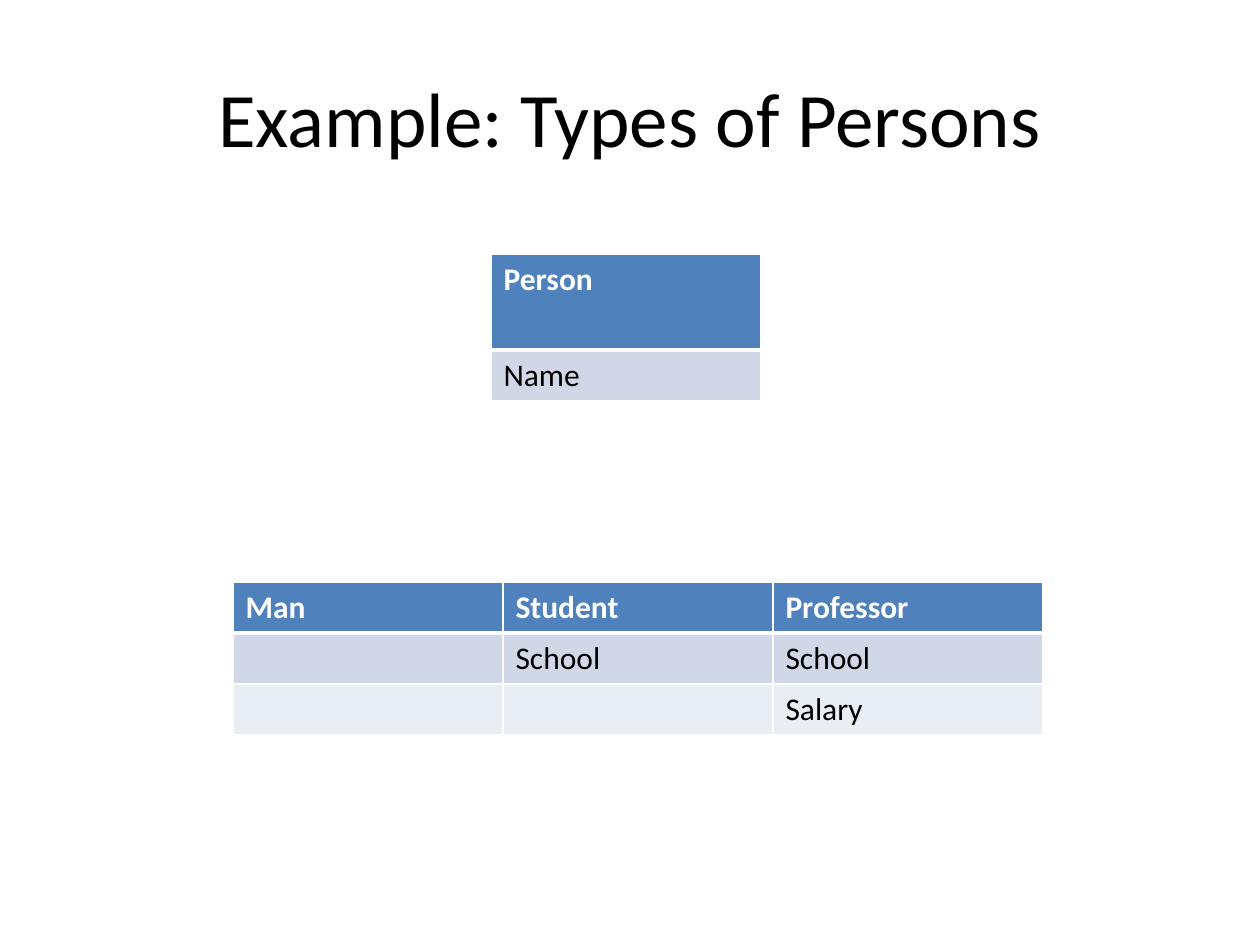
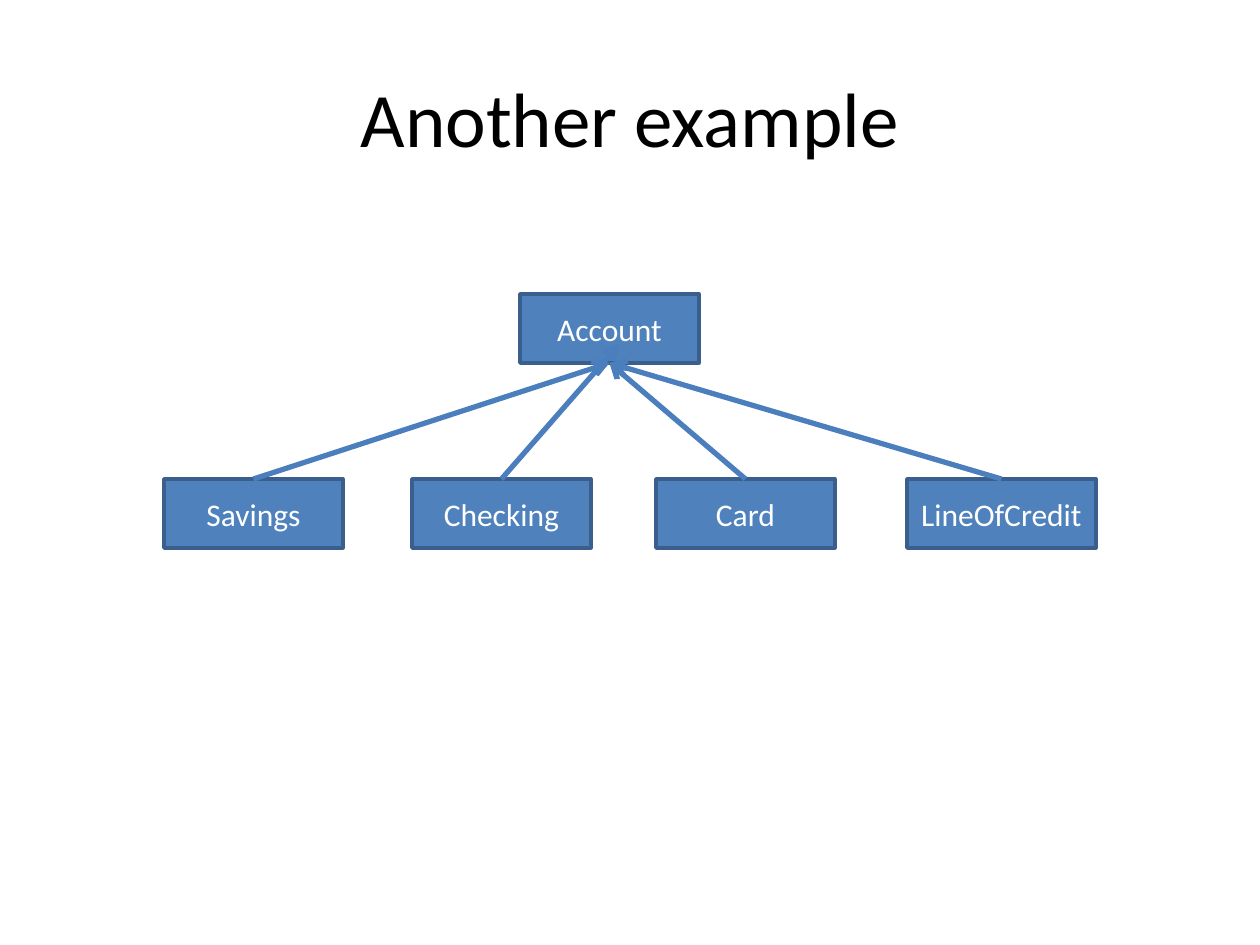
from lxml import etree
from pptx import Presentation
from pptx.dml.color import RGBColor
from pptx.enum.shapes import MSO_CONNECTOR, MSO_SHAPE
from pptx.enum.text import MSO_ANCHOR, PP_ALIGN
from pptx.oxml.ns import qn
from pptx.util import Pt

PX = 914400 / 126
CENTER, MIDDLE = PP_ALIGN.CENTER, MSO_ANCHOR.MIDDLE
RECT, STRAIGHT = MSO_SHAPE.RECTANGLE, MSO_CONNECTOR.STRAIGHT
COLORS = {"blue": "4F81BD", "edge": "3A5F8C", "arrow": "4B7EBC", "white": "FFFFFF",
          "black": "000000", "band1": "D0D8E8", "band2": "E9EDF4"}
TITLE_BOX = (63, 38, 1134, 157)
TITLE = {"size": Pt(44), "name": "Calibri"}
BODY = {"size": Pt(18), "name": "Calibri", "bold": False}
HEADER = {**BODY, "bold": True}


def emu(*lengths):
    """Turn pixel lengths into EMU."""
    return [round(n * PX) for n in lengths]


def rgb(name):
    """Return the named colour."""
    return RGBColor.from_string(COLORS[name])


def write(tf, text, fmt, color, align=None):
    """Write one formatted paragraph into a text frame."""
    p = tf.paragraphs[0]
    p.alignment = align
    r = p.add_run()
    r.text = text
    for key, value in fmt.items():
        setattr(r.font, key, value)
    r.font.color.rgb = rgb(color)


def add_slide(prs, title):
    """Add a blank slide with the shared title style."""
    s = prs.slides.add_slide(prs.slide_layouts[6])
    tf = s.shapes.add_textbox(*emu(*TITLE_BOX)).text_frame
    tf.word_wrap, tf.vertical_anchor = True, MIDDLE
    write(tf, title, TITLE, "black", CENTER)
    return s


def border(cell, bottom):
    """Draw white cell borders, with the given bottom width in points."""
    tc_pr = cell._tc.get_or_add_tcPr()
    for i, (side, width) in enumerate(zip("LRTB", (1, 1, 1, bottom))):
        ln = etree.Element(qn("a:ln" + side), w=str(Pt(width)))
        fill = etree.SubElement(ln, qn("a:solidFill"))
        etree.SubElement(fill, qn("a:srgbClr"), val=COLORS["white"])
        tc_pr.insert(i, ln)


def class_table(s, left, top, col_width, heights, rows):
    """Draw a table with a header row of classes above their fields."""
    size = len(rows), len(rows[0])
    box = emu(left, top, col_width * size[1], sum(heights))
    table = s.shapes.add_table(*size, *box).table
    for col in table.columns:
        col.width = emu(col_width)[0]
    for i, (row, height) in enumerate(zip(rows, heights)):
        table.rows[i].height = emu(height)[0]
        for j, text in enumerate(row):
            cell = table.cell(i, j)
            cell.fill.solid()
            cell.fill.fore_color.rgb = rgb(("blue", "band1", "band2")[i])
            border(cell, 1 if i else 3)
            if text:
                write(cell.text_frame, text, BODY if i else HEADER, "black" if i else "white")


def class_box(s, text, left, top, width, height):
    """Draw a labelled class rectangle."""
    sp = s.shapes.add_shape(RECT, *emu(left, top, width, height))
    sp.shadow.inherit = False
    sp.fill.solid()
    sp.fill.fore_color.rgb = rgb("blue")
    sp.line.color.rgb, sp.line.width = rgb("edge"), Pt(2)
    sp.text_frame.word_wrap, sp.text_frame.vertical_anchor = True, MIDDLE
    write(sp.text_frame, text, BODY, "white", CENTER)


def arrow(s, start, end):
    """Draw an inheritance arrow between two points."""
    c = s.shapes.add_connector(STRAIGHT, *emu(*start, *end))
    c.line.color.rgb, c.line.width = rgb("arrow"), Pt(3)
    etree.SubElement(c.line._get_or_add_ln(), qn("a:tailEnd"), type="arrow")
    etree.SubElement(c._element.spPr, qn("a:effectLst"))


def class_tree(s, left, top, parent, children):
    """Draw a parent class above children given as name, offset, width and arrow tip shift."""
    width, height, parent_x, drop = 179, 69, 356, 185
    class_box(s, parent, left + parent_x, top, width, height)
    tip_x, tip_y = left + parent_x + width / 2, top + height
    for name, x, w, shift in children:
        class_box(s, name, left + x, top + drop, w, height)
    for name, x, w, (dx, dy) in children:
        arrow(s, (left + x + w / 2, top + drop), (tip_x + dx, tip_y + dy))


prs = Presentation()
prs.slide_width, prs.slide_height = emu(1260, 945)

s = add_slide(prs, "Example: Types of Persons")
class_table(s, 233, 582, 270, (51, 51, 51),
            [("Man", "Student", "Professor"), ("", "School", "School"), ("", "", "Salary")])
class_table(s, 491, 254, 270, (96, 50), [("Person",), ("Name",)])

s = add_slide(prs, "Another example")
class_tree(s, 164, 294, "Account",
           [("Savings", 0, 179, (0, 0)), ("Checking", 248, 179, (10, -19)),
            ("Card", 492, 179, (0, 0)), ("LineOfCredit", 743, 189, (0, 0))])

prs.save("out.pptx")
